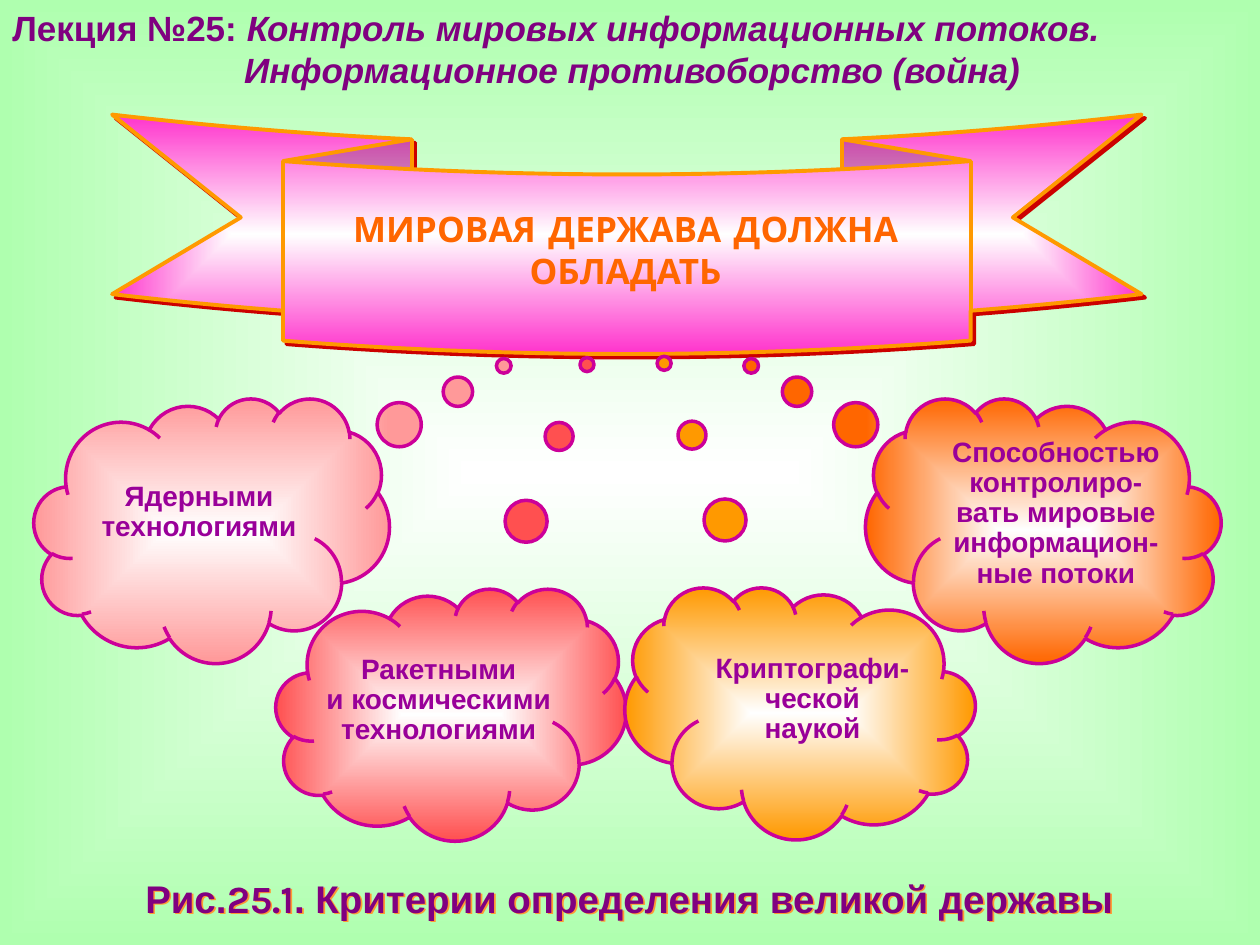
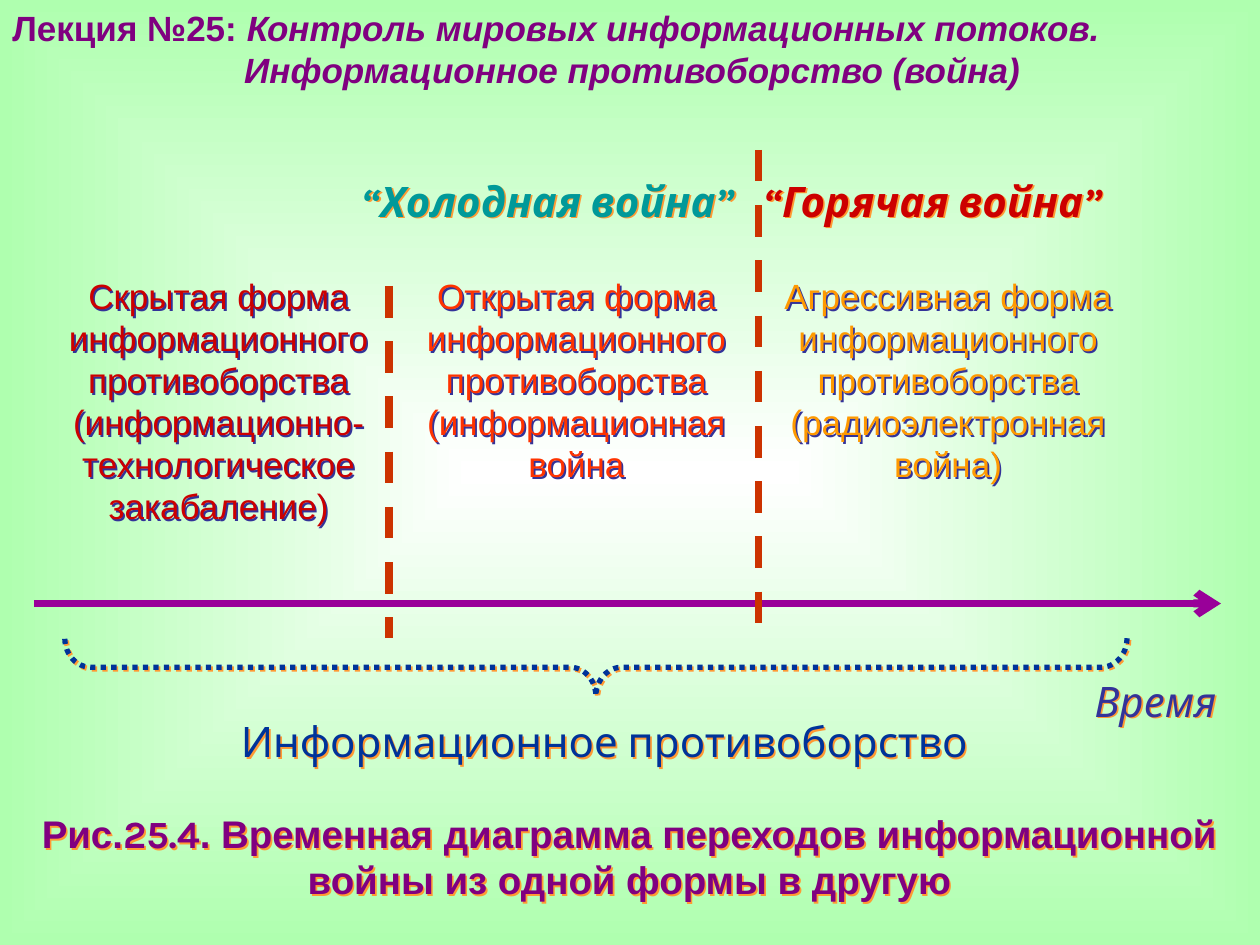
from lxml import etree
from pptx import Presentation
from pptx import util as u
from pptx.dml.color import RGBColor
from pptx.enum import dml, shapes, text
from pptx.oxml import ns

WHITE = RGBColor(0xFF, 0xFF, 0xFF)
MINT = RGBColor(0xAF, 0xFF, 0xAF)
PURPLE = RGBColor(0x80, 0x00, 0x80)
VIOLET = RGBColor(0x99, 0x00, 0x99)
MAGENTA = RGBColor(0xCC, 0x00, 0x99)
PINK = RGBColor(0xFF, 0x33, 0xCC)
ROSE = RGBColor(0xFF, 0x99, 0x99)
CORAL = RGBColor(0xFF, 0x50, 0x50)
AMBER = RGBColor(0xFF, 0x99, 0x00)
ORANGE = RGBColor(0xFF, 0x66, 0x00)
GLOW = RGBColor(0xFF, 0x99, 0x33)
RED = RGBColor(0xCC, 0x00, 0x00)
SCARLET = RGBColor(0xFF, 0x33, 0x00)
BRICK = RGBColor(0xCC, 0x33, 0x00)
TEAL = RGBColor(0x00, 0x99, 0x99)
NAVY = RGBColor(0x00, 0x33, 0x99)
INDIGO = RGBColor(0x33, 0x33, 0x99)

BODY, ACCENT, COMIC = "Arial", "Karla", "Comic Neue"
CENTER, LEFT, RIGHT = (
    text.PP_ALIGN.CENTER, text.PP_ALIGN.LEFT, text.PP_ALIGN.RIGHT)


def add_xml(parent, tag, **attributes):
    child = etree.SubElement(parent, ns.qn(tag))
    for name, value in attributes.items():
        child.set(name, str(value))
    return child


def paint_gradient(parent, outer, style):
    gradient = etree.Element(ns.qn("a:gradFill"), rotWithShape="1")
    stops = add_xml(gradient, "a:gsLst")
    for position, color in ((0, WHITE), (100000, outer)):
        stop = add_xml(stops, "a:gs", pos=position)
        add_xml(stop, "a:srgbClr", val=color)
    route = add_xml(gradient, "a:path", path=style)
    add_xml(route, "a:fillToRect", l=50000, t=50000, r=50000, b=50000)
    parent.replace(parent.find(ns.qn("a:solidFill")), gradient)


def cast_shadow(shape, color, distance):
    shape.shadow.inherit = False
    effects = shape._element.spPr.find(ns.qn("a:effectLst"))
    shadow = add_xml(effects, "a:outerShdw", dist=u.Pt(distance),
                     dir=2700000, algn="ctr", rotWithShape=0)
    add_xml(shadow, "a:srgbClr", val=color)


def write_text(frame, lines, *, size, color, font=BODY, bold=False,
               italic=False, align=CENTER, spacing=None):
    for index, line in enumerate(lines):
        para = frame.paragraphs[0] if index == 0 else frame.add_paragraph()
        para.alignment = align
        para.line_spacing = spacing
        spans = [(line, {})] if isinstance(line, str) else line
        for words, changes in spans:
            span = para.add_run()
            span.text = words
            span.font.size = u.Pt(size)
            span.font.color.rgb = color
            span.font.name = changes.get("font", font)
            span.font.bold = changes.get("bold", bold)
            span.font.italic = changes.get("italic", italic)


def set_insets(frame, top=0):
    frame.margin_left = frame.margin_right = frame.margin_bottom = 0
    frame.margin_top = u.Inches(top)


def add_text(page, place, lines, *, shadow=None, inset=False, wrap=True,
             grow=True, anchor=text.MSO_ANCHOR.TOP, **style):
    box = page.shapes.add_textbox(*map(u.Inches, place))
    frame = box.text_frame
    frame.word_wrap = wrap
    frame.vertical_anchor = anchor
    if grow:
        frame.auto_size = text.MSO_AUTO_SIZE.SHAPE_TO_FIT_TEXT
    if not inset:
        set_insets(frame)
    write_text(frame, lines, **style)
    if shadow is not None:
        cast_shadow(box, shadow, 1.4)
    return box


def add_figure(page, kind, place, adjustments, line_color, width):
    shape = page.shapes.add_shape(kind, *map(u.Inches, place))
    shape.shadow.inherit = False
    for index, value in enumerate(adjustments):
        shape.adjustments[index] = value
    shape.line.color.rgb = line_color
    shape.line.width = u.Pt(width)
    return shape


def add_line(page, start, end, color, dash=None, arrow=False):
    line = page.shapes.add_connector(
        shapes.MSO_CONNECTOR.STRAIGHT, *map(u.Inches, start + end))
    line.line.color.rgb = color
    line.line.width = u.Pt(4.5)
    if dash is not None:
        line.line.dash_style = dash
    if arrow:
        add_xml(line.line._ln, "a:tailEnd", type="arrow")
    add_xml(line._element.spPr, "a:effectLst")


def add_page(deck):
    page = deck.slides.add_slide(deck.slide_layouts[6])
    page.background.fill.solid()
    properties = page._element.find(".//" + ns.qn("p:bgPr"))
    paint_gradient(properties, MINT, "shape")
    return page


def add_heading(page):
    heading = add_text(
        page, (0, 0, 10, 0.77),
        [[("Лекция №25: ", {"italic": False}),
          ("Контроль мировых информационных потоков.", {})],
         "Информационное противоборство (война)"],
        inset=True, size=20, color=PURPLE, bold=True, italic=True, align=LEFT)
    indent = heading.text_frame.paragraphs[1]._p.get_or_add_pPr()
    indent.set("marL", str(u.Inches(1.84)))


def add_caption(page, top, height, number, words):
    add_text(page, (0.27, top, 9.45, height),
             [[("Рис.", {}), (number, {"font": ACCENT}), (words, {})]],
             shadow=GLOW, anchor=text.MSO_ANCHOR.MIDDLE,
             size=22, color=PURPLE, bold=True)


def add_ribbon(page, left, top, width, height):
    ribbon = add_figure(page, shapes.MSO_SHAPE.CURVED_DOWN_RIBBON,
                        (left, top, width, height),
                        (0.25, 0.668, 0.125), AMBER, 2.25)
    ribbon.fill.solid()
    paint_gradient(ribbon._element.spPr, PINK, "rect")
    cast_shadow(ribbon, RED, 2.8)
    add_text(page, (left + 1.7, top + 0.69, 4.75, 0.96),
             ["МИРОВАЯ ДЕРЖАВА ДОЛЖНА", "ОБЛАДАТЬ"],
             inset=True, wrap=False, grow=False,
             size=20, color=ORANGE, font=COMIC, bold=True)


def add_cloud(page, place, pointer, color, lines, text_top, flipped):
    cloud = add_figure(page, shapes.MSO_SHAPE.CLOUD_CALLOUT,
                       place, pointer, MAGENTA, 2)
    cloud.fill.solid()
    paint_gradient(cloud._element.spPr, color, "rect")
    if flipped:
        cloud._element.spPr.find(ns.qn("a:xfrm")).set("flipH", "1")
    frame = cloud.text_frame
    frame.word_wrap = True
    frame.vertical_anchor = text.MSO_ANCHOR.TOP
    set_insets(frame, text_top)
    write_text(frame, lines, size=16, color=VIOLET, bold=True, spacing=0.9)


def build_criteria(deck):
    page = add_page(deck)
    add_ribbon(page, 0.89, 0.91, 8.17, 1.9)
    high, low = (0.822, -0.622), (0.388, -1.388)
    clouds = (
        ((0.27, 3.16, 2.82, 2.1), high, ROSE,
         ["Ядерными", "технологиями"], 0.35, False),
        ((2.19, 4.67, 2.78, 2), low, CORAL,
         ["Ракетными", "и космическими", "технологиями"], 0.23, False),
        ((4.96, 4.66, 2.78, 2), low, AMBER,
         ["Криптографи-ческой", "наукой"], 0.23, True),
        ((6.87, 3.16, 2.82, 2.1), high, ORANGE,
         ["Способностью",
          "контролиро-вать мировые информацион-ные потоки"], 0, True),
    )
    for cloud in clouds:
        add_cloud(page, *cloud)
    add_caption(page, 6.94, 0.37, "25.1",
                ". Критерии определения великой державы")
    add_heading(page)


def add_timeline(page, left, top, width):
    add_line(page, (left, top), (left + width, top), VIOLET, arrow=True)
    for offset, above, below in ((5.75, 3.6, 0.31), (2.82, 2.52, 0.27)):
        add_line(page, (left + offset, top - above),
                 (left + offset, top + below), BRICK,
                 dash=dml.MSO_LINE.DASH)
    brace = add_figure(page, shapes.MSO_SHAPE.LEFT_BRACE,
                       (left + 4.23, top - 3.71, 0.46, 8.43),
                       (0.446, 0.5), NAVY, 3)
    brace.rotation = 270
    brace.fill.background()
    brace.line.dash_style = dml.MSO_LINE.ROUND_DOT
    cast_shadow(brace, GLOW, 1.4)
    label = dict(shadow=GLOW, size=24, font=ACCENT)
    add_text(page, (left + 8.35, top + 0.57, 1.1, 0.4), ["Время"],
             color=INDIGO, italic=True, **label)
    add_text(page, (left + 0.98, top + 0.89, 7.09, 0.4),
             ["Информационное противоборство"], color=NAVY, **label)
    label.update(bold=True, italic=True)
    add_text(page, (left + 2.13, top - 3.4, 3.43, 0.4),
             ["“Холодная война”"], color=TEAL, align=RIGHT, **label)
    add_text(page, (left + 5.79, top - 3.4, 3.43, 0.4),
             ["“Горячая война”"], color=RED, align=LEFT, **label)


def add_forms(page, top):
    forms = (
        (0.39, 2, RED, "Скрытая форма информационного противоборства "
         "(информационно-технологическое закабаление)"),
        (3.23, 1.67, SCARLET, "Открытая форма информационного "
         "противоборства (информационная война"),
        (6.18, 1.67, AMBER, "Агрессивная форма информационного "
         "противоборства (радиоэлектронная война)"),
    )
    for left, height, color, words in forms:
        add_text(page, (left, top, 2.69, height), [words],
                 shadow=INDIGO, size=20, color=color)


def build_transitions(deck):
    page = add_page(deck)
    add_timeline(page, 0.27, 4.79, 9.42)
    add_forms(page, 2.18)
    add_caption(page, 6.43, 0.73, "25.4",
                ". Временная диаграмма переходов информационной "
                "войны из одной формы в другую")
    add_heading(page)


def main():
    deck = Presentation()
    deck.slide_width = u.Inches(10)
    deck.slide_height = u.Inches(7.5)
    build_criteria(deck)
    build_transitions(deck)
    deck.save("out.pptx")


if __name__ == "__main__":
    main()
